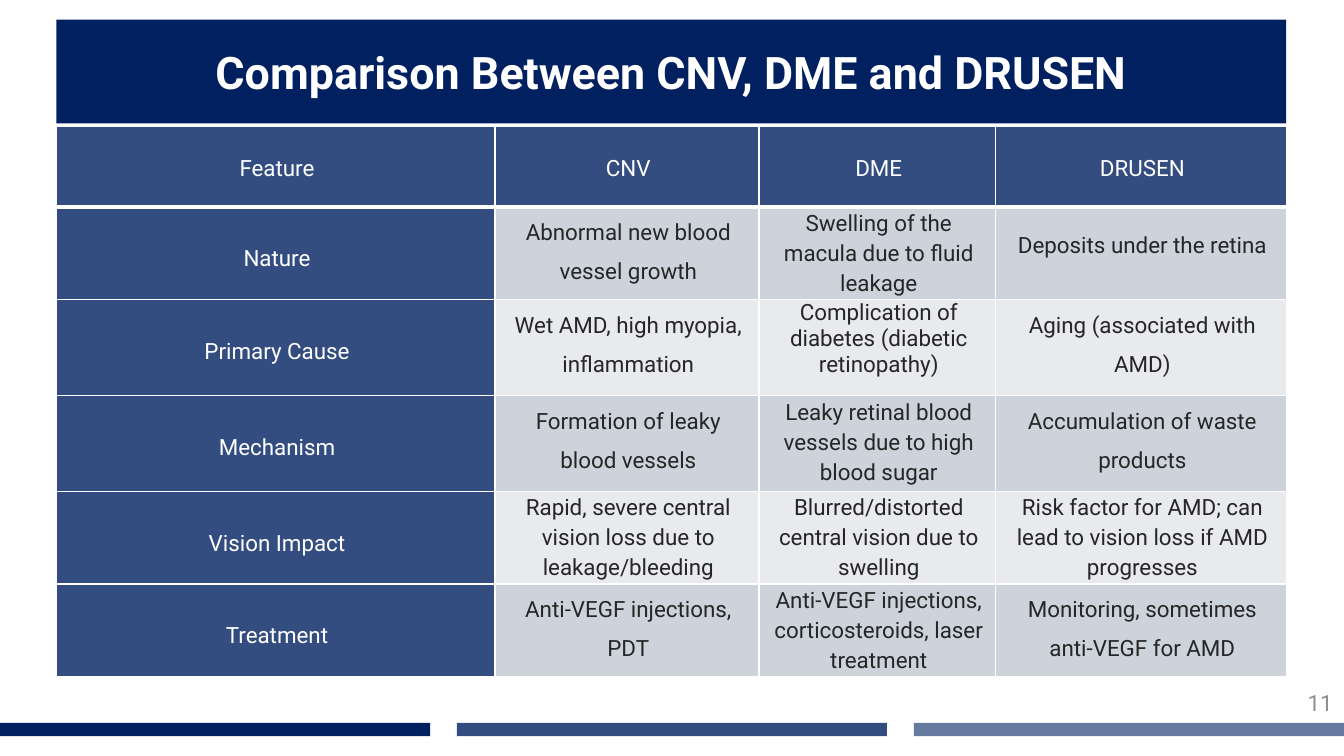
from dataclasses import dataclass
from typing import Any

from lxml import etree
from pptx import Presentation
from pptx import oxml
from pptx import util as u
from pptx.dml import color
from pptx.enum import shapes, text
from pptx.oxml import ns

Pt = u.Pt
NAVY, BLUE, WHITE, INK, GREY = "002060", "334D80", "FFFFFF", "262626", "8E8E8E"
BANDS = ("CCD3DB", "E8EAEE")
MID, TOP = text.MSO_ANCHOR.MIDDLE, text.MSO_ANCHOR.TOP
MARGIN, WIDTH = 40.3, 878.4


@dataclass
class Box:
    left: float
    top: float
    width: float
    height: float

    def pts(self) -> list[u.Length]:
        return [Pt(v) for v in (self.left, self.top, self.width, self.height)]


@dataclass
class Entry:
    words: str
    gap: float = 1.5


@dataclass
class Row:
    height: float
    cells: list[Entry]


def rgb(code: str) -> color.RGBColor:
    return color.RGBColor.from_string(code)


def put(obj: Any, form: dict[str, Any]) -> None:
    for name, value in form.items():
        setattr(obj, name, value)


def write(frame: Any, words: str, ink: str, size: float = 16, bold: bool = False,
          align: Any = text.PP_ALIGN.CENTER, gap: float = 1.0) -> None:
    para = frame.paragraphs[0]
    put(para, {"alignment": align, "line_spacing": gap})
    run = para.add_run()
    run.text = words
    put(run.font, {"name": "Roboto", "size": Pt(size), "bold": bold})
    run.font.color.rgb = rgb(ink)


def bar(group: Any, box: Box, alpha: int = 100) -> Any:
    """Add a navy rectangle, see-through when alpha is below 100."""
    rect = group.add_shape(shapes.MSO_SHAPE.RECTANGLE, *box.pts())
    rect.shadow.inherit = False
    rect.fill.solid()
    rect.fill.fore_color.rgb = rgb(NAVY)
    rect.line.fill.background()
    if alpha < 100:
        tint = rect.fill._xPr.find(".//" + ns.qn("a:srgbClr"))
        etree.SubElement(tint, ns.qn("a:alpha"), val=str(alpha * 1000))
    return rect


def edge(cell: Any, base: float = 1) -> None:
    """Draw white cell borders; base is the width of the lower one."""
    props = cell._tc.get_or_add_tcPr()
    for side, width in zip("LRTB", (1, 1, 1, base)):
        props.append(oxml.parse_xml(
            f'<a:ln{side} {ns.nsdecls("a")} w="{Pt(width)}"><a:solidFill>'
            f'<a:srgbClr val="{WHITE}"/></a:solidFill></a:ln{side}>'))


def grid(slide: Any, rows: list[Row], cols: list[float]) -> None:
    box = Box(MARGIN, 90.2, WIDTH, sum(row.height for row in rows))
    table = slide.shapes.add_table(len(rows), len(cols), *box.pts()).table
    for col, width in zip(table.columns, cols):
        col.width = Pt(width)
    for r, row in enumerate(rows):
        table.rows[r].height = Pt(row.height)
        for c, entry in enumerate(row.cells):
            cell, label = table.cell(r, c), r == 0 or c == 0
            put(cell, {"margin_left": Pt(10), "margin_right": Pt(8),
                       "margin_top": 0, "margin_bottom": 0,
                       "vertical_anchor": MID if r == 0 else TOP})
            edge(cell, 3 if r == 0 else 1)
            cell.fill.solid()
            cell.fill.fore_color.rgb = rgb(BLUE if label else BANDS[(r - 1) % 2])
            write(cell.text_frame, entry.words, WHITE if label else INK, gap=entry.gap)


COLS = [313.2, 188.6, 169.2, 207.4]
ROWS = [
    Row(57.8, [Entry(name, 1.15) for name in ("Feature", "CNV", "DME", "DRUSEN")]),
    Row(65.8, [Entry("Nature", 2.5),
               Entry("Abnormal new blood vessel growth"),
               Entry("Swelling of the macula due to fluid leakage", 1.15),
               Entry("Deposits under the retina", 2)]),
    Row(68.4, [Entry("Primary Cause", 2.5),
               Entry("Wet AMD, high myopia, inflammation"),
               Entry("Complication of diabetes (diabetic retinopathy)", 1),
               Entry("Aging (associated with AMD)")]),
    Row(68.4, [Entry("Mechanism", 2.5),
               Entry("Formation of leaky blood vessels"),
               Entry("Leaky retinal blood vessels due to high blood sugar", 1.15),
               Entry("Accumulation of waste products")]),
    Row(66, [Entry("Vision Impact", 2.5),
             Entry("Rapid, severe central vision loss due to leakage/bleeding", 1.15),
             Entry("Blurred/distorted central vision due to swelling", 1.15),
             Entry("Risk factor for AMD; can lead to vision loss if AMD progresses", 1.15)]),
    Row(65.8, [Entry("Treatment", 2.5),
               Entry("Anti-VEGF injections, PDT"),
               Entry("Anti-VEGF injections, corticosteroids, laser treatment", 1.15),
               Entry("Monitoring, sometimes anti-VEGF for AMD")]),
]


def main() -> None:
    deck = Presentation()
    put(deck, {"slide_width": Pt(960), "slide_height": Pt(540)})
    slide = deck.slides.add_slide(deck.slide_layouts[6])

    title = bar(slide.shapes, Box(MARGIN, 14, WIDTH, 74.2)).text_frame
    put(title, {"word_wrap": True, "vertical_anchor": MID})
    write(title, "Comparison Between CNV, DME and DRUSEN", WHITE, 32, True)

    foot = slide.shapes.add_group_shape().shapes
    for i, alpha in enumerate((100, 80, 60)):
        bar(foot, Box(i * 326.4, 516.4, 307.2, 9.4), alpha)

    page = slide.shapes.add_textbox(*Box(743, 487.6, 216, 28.8).pts()).text_frame
    put(page, {"word_wrap": True, "vertical_anchor": MID})
    write(page, "11", GREY, align=text.PP_ALIGN.RIGHT)

    grid(slide, ROWS, COLS)
    deck.save("out.pptx")


if __name__ == "__main__":
    main()
